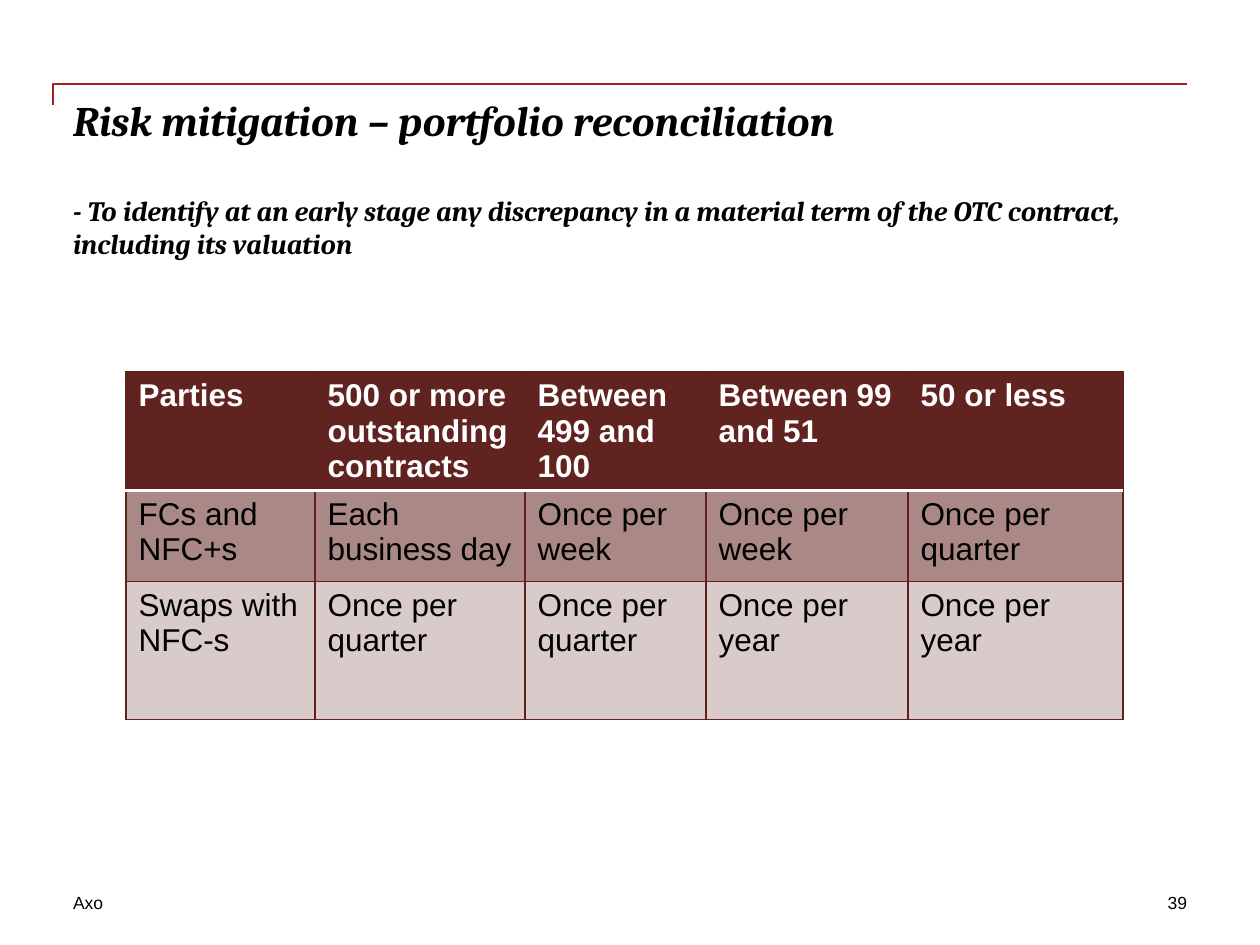
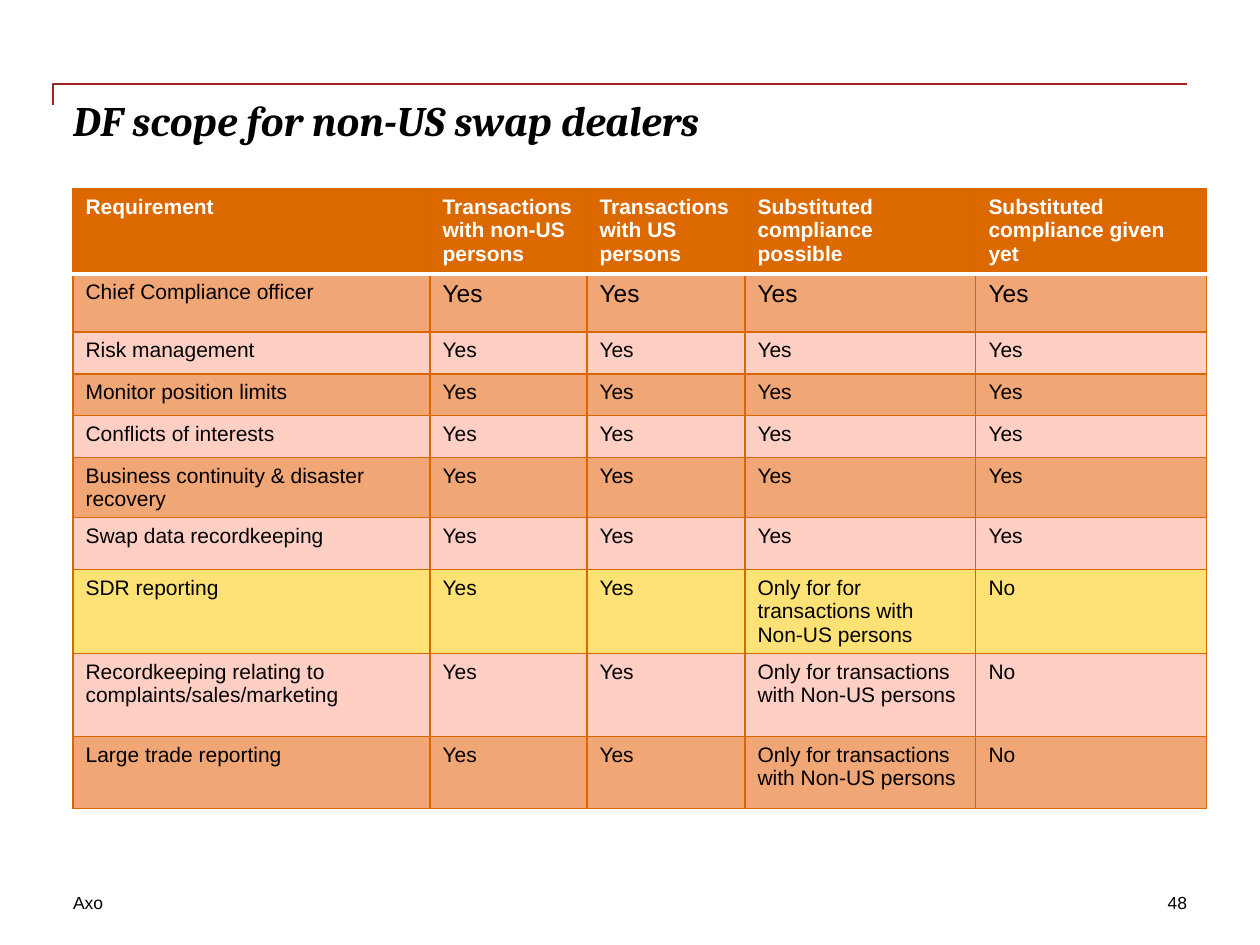
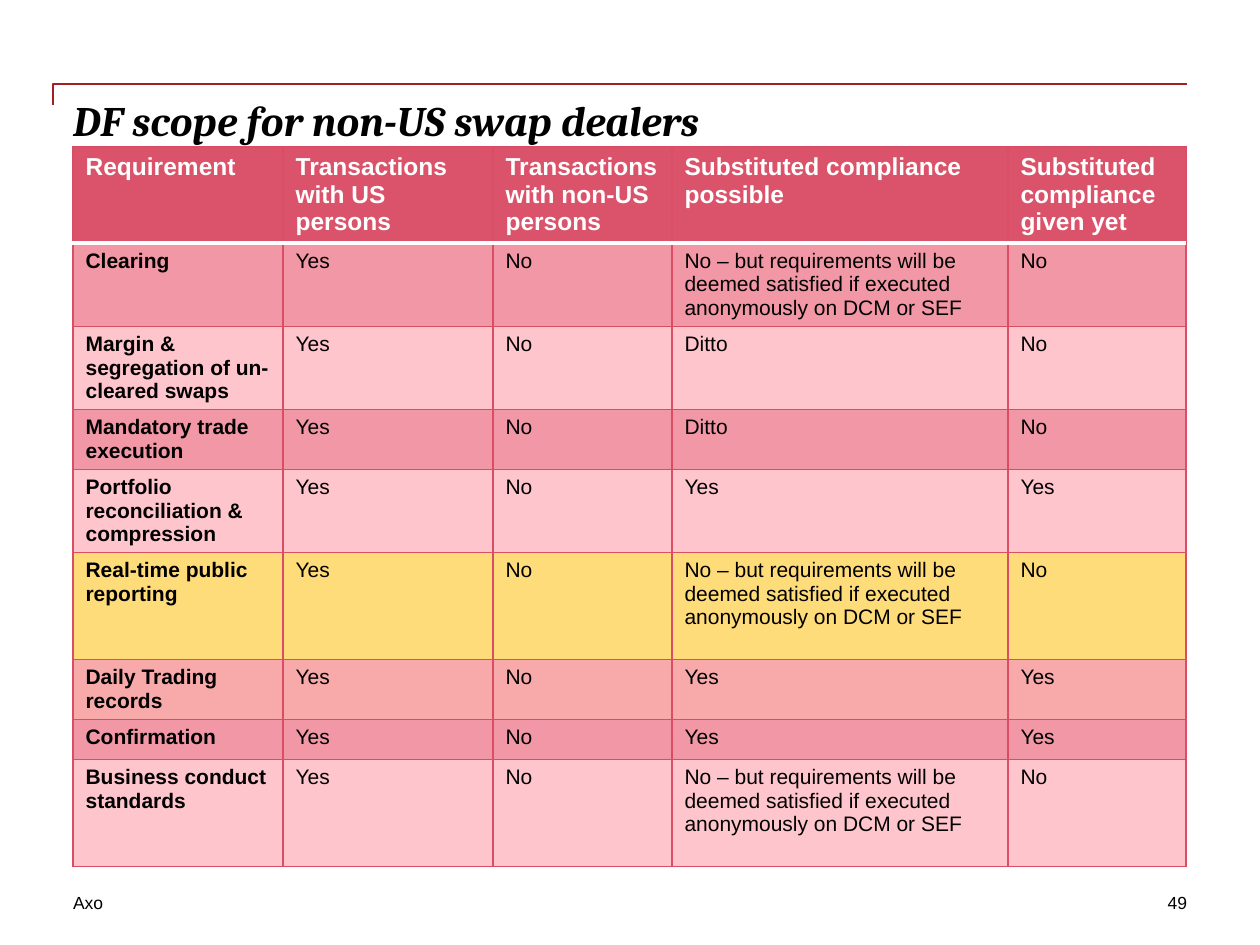
from dataclasses import dataclass

from lxml import etree
from pptx import Presentation
from pptx import util as u
from pptx.dml.color import RGBColor
from pptx.enum import text
from pptx.oxml import ns

EMU_PER_PX = 914400 / 126
BLACK = RGBColor(0x00, 0x00, 0x00)
WHITE = RGBColor(0xFF, 0xFF, 0xFF)
RULE_RED = RGBColor(0xA3, 0x20, 0x20)
YELLOW = RGBColor(0xFF, 0xFF, 0x00)
SALMON = RGBColor(0xED, 0x82, 0x78)


@dataclass
class Palette:
    accent: RGBColor
    edge: RGBColor
    tint: RGBColor

    def over_tint(self, colour):
        return RGBColor(*(round(0.4 * c + 0.6 * t) for c, t in zip(colour, self.tint)))


MAROON = Palette(RGBColor(0x60, 0x23, 0x20), RGBColor(0x5F, 0x21, 0x1E), RGBColor(0xD9, 0xCB, 0xCA))
ORANGE = Palette(RGBColor(0xDC, 0x69, 0x00), RGBColor(0xD7, 0x67, 0x00), RGBColor(0xFF, 0xCF, 0xC4))
ROSE = Palette(RGBColor(0xDB, 0x53, 0x6A), RGBColor(0xD9, 0x4E, 0x65), RGBColor(0xFF, 0xC5, 0xCC))


@dataclass
class Row:
    height: int
    overlay: RGBColor | None
    texts: list
    value_size: int | None = None


def px(length):
    return u.Emu(round(length * EMU_PER_PX))


def write(paragraph, words, size=12, font="Arial", colour=BLACK, bold=False,
          italic=False, align=text.PP_ALIGN.LEFT, before=0):
    paragraph.alignment = align
    paragraph.space_before = u.Pt(before)
    run = paragraph.add_run()
    run.text = words
    run.font.name = font
    run.font.size = u.Pt(size)
    run.font.bold = bold
    run.font.italic = italic
    run.font.color.rgb = colour


def set_border(cell, side, colour, width):
    line = etree.SubElement(cell._tc.get_or_add_tcPr(), ns.qn(f"a:ln{side}"), w=str(u.Pt(width)))
    fill = etree.SubElement(line, ns.qn("a:solidFill"))
    etree.SubElement(fill, ns.qn("a:srgbClr"), val=str(colour))


class Deck:
    def __init__(self):
        self.presentation = Presentation()
        self.presentation.slide_width = px(1260)
        self.presentation.slide_height = px(945)
        self.slide = None

    def add_slide(self, heading, number, subheading=None):
        self.slide = self.presentation.slides.add_slide(self.presentation.slide_layouts[5])
        self.rule()
        self.title(heading, subheading)
        self.label("Axo", 73, 357)
        self.label(number, 977, 210, align=text.PP_ALIGN.RIGHT)

    def rule(self):
        builder = self.slide.shapes.build_freeform(53, 105, scale=EMU_PER_PX)
        builder.add_line_segments([(53, 84), (1187, 84)], close=False)
        corner = builder.convert_to_shape()
        corner.shadow.inherit = False
        corner.fill.background()
        corner.line.color.rgb = RULE_RED
        corner.line.width = u.Pt(1)

    def prepare(self, shape):
        frame = shape.text_frame
        frame.word_wrap = True
        frame.auto_size = text.MSO_AUTO_SIZE.NONE
        frame.vertical_anchor = text.MSO_ANCHOR.TOP
        frame.margin_left = frame.margin_right = frame.margin_top = frame.margin_bottom = 0
        return frame

    def title(self, heading, subheading):
        title = self.slide.shapes.title
        title.left, title.top, title.width, title.height = map(px, (73, 94, 1113, 126))
        frame = self.prepare(title)
        style = dict(font="Cambria", bold=True, italic=True)
        write(frame.paragraphs[0], heading, size=24, **style)
        if subheading:
            write(frame.add_paragraph(), subheading, size=16, before=28, **style)

    def label(self, words, left, width, **style):
        box = self.slide.shapes.add_textbox(px(left), px(892), px(width), px(21))
        write(self.prepare(box).paragraphs[0], words, size=10, **style)

    def table(self, left, top, widths, rows, palette, head_size, size, bold_first=False):
        height = sum(row.height for row in rows)
        grid = self.slide.shapes.add_table(
            len(rows), len(widths), px(left), px(top), px(sum(widths)), px(height)).table
        grid.first_row = grid.horz_banding = False
        for column, width in zip(grid.columns, widths):
            column.width = px(width)
        for i, row in enumerate(rows):
            grid.rows[i].height = px(row.height)
            for j, words in enumerate(row.texts):
                cell = grid.cell(i, j)
                self.cell_look(cell, i, row, palette)
                if i == 0:
                    style = dict(size=head_size, colour=WHITE, bold=True)
                else:
                    style = dict(size=row.value_size if j and row.value_size else size,
                                 bold=bold_first and j == 0)
                write(cell.text_frame.paragraphs[0], words, **style)

    def cell_look(self, cell, index, row, palette):
        thin, heavy = (palette.edge, 0.75), (WHITE, 2)
        set_border(cell, "L", *thin)
        set_border(cell, "R", *thin)
        set_border(cell, "T", *(heavy if index == 1 else thin))
        set_border(cell, "B", *(heavy if index == 0 else thin))
        cell.fill.solid()
        if index == 0:
            cell.fill.fore_color.rgb = palette.accent
        elif row.overlay:
            cell.fill.fore_color.rgb = palette.over_tint(row.overlay)
        else:
            cell.fill.fore_color.rgb = palette.tint


def reconciliation(deck):
    deck.add_slide(
        "Risk mitigation – portfolio reconciliation", "39",
        "- To identify at an early stage any discrepancy in a material term of the OTC contract, "
        "including its valuation")
    frequencies = [
        Row(118, None, ["Parties", "500 or more outstanding contracts", "Between 499 and 100",
                        "Between 99 and 51", "50 or less"]),
        Row(91, MAROON.accent, ["FCs and NFC+s", "Each business day", "Once per week",
                                "Once per week", "Once per quarter"]),
        Row(138, None, ["Swaps with NFC-s", "Once per quarter", "Once per quarter",
                        "Once per year", "Once per year"]),
    ]
    deck.table(126, 372, [189, 210, 181, 202, 215], frequencies, MAROON, head_size=18, size=18)


def entity_scope(deck):
    deck.add_slide("DF scope for non-US swap dealers", "48")
    accent = ORANGE.accent
    all_yes = ["Yes"] * 4
    limited = ["Yes", "Yes", "Only for transactions with Non-US persons", "No"]
    requirements = [
        Row(85, None, ["Requirement", "Transactions with non-US persons",
                       "Transactions with US persons", "Substituted compliance possible",
                       "Substituted compliance given yet"]),
        Row(58, accent, ["Chief Compliance officer", *all_yes], value_size=14),
        Row(42, None, ["Risk management", *all_yes]),
        Row(42, accent, ["Monitor position limits", *all_yes]),
        Row(42, None, ["Conflicts of interests", *all_yes]),
        Row(60, accent, ["Business continuity & disaster recovery", *all_yes]),
        Row(52, None, ["Swap data recordkeeping", *all_yes]),
        Row(84, YELLOW, ["SDR reporting", "Yes", "Yes",
                         "Only for for transactions with Non-US persons", "No"]),
        Row(83, None, ["Recordkeeping relating to complaints/sales/marketing", *limited]),
        Row(72, accent, ["Large trade reporting", *limited]),
    ]
    deck.table(73, 189, [357, 157, 158, 231, 231], requirements, ORANGE, head_size=12, size=12)


def transaction_scope(deck):
    deck.add_slide("DF scope for non-US swap dealers", "49")
    accent = ROSE.accent
    anonymous = ["Yes", "No", "No – but requirements will be deemed satisfied if executed "
                 "anonymously on DCM or SEF", "No"]
    ditto = ["Yes", "No", "Ditto", "No"]
    substituted = ["Yes", "No", "Yes", "Yes"]
    requirements = [
        Row(96, None, ["Requirement", "Transactions with US persons",
                       "Transactions with non-US persons", "Substituted compliance possible",
                       "Substituted compliance given yet"]),
        Row(83, accent, ["Clearing", *anonymous]),
        Row(83, None, ["Margin & segregation of un- cleared swaps", *ditto]),
        Row(60, accent, ["Mandatory trade execution", *ditto]),
        Row(83, None, ["Portfolio reconciliation & compression", *substituted]),
        Row(107, YELLOW, ["Real-time public reporting", *anonymous]),
        Row(59, SALMON, ["Daily Trading records", *substituted]),
        Row(40, accent, ["Confirmation", *substituted]),
        Row(107, None, ["Business conduct standards", *anonymous]),
    ]
    deck.table(73, 147, [210, 210, 179, 336, 178], requirements, ROSE,
               head_size=14, size=12, bold_first=True)


def main():
    deck = Deck()
    reconciliation(deck)
    entity_scope(deck)
    transaction_scope(deck)
    deck.presentation.save("out.pptx")


if __name__ == "__main__":
    main()
